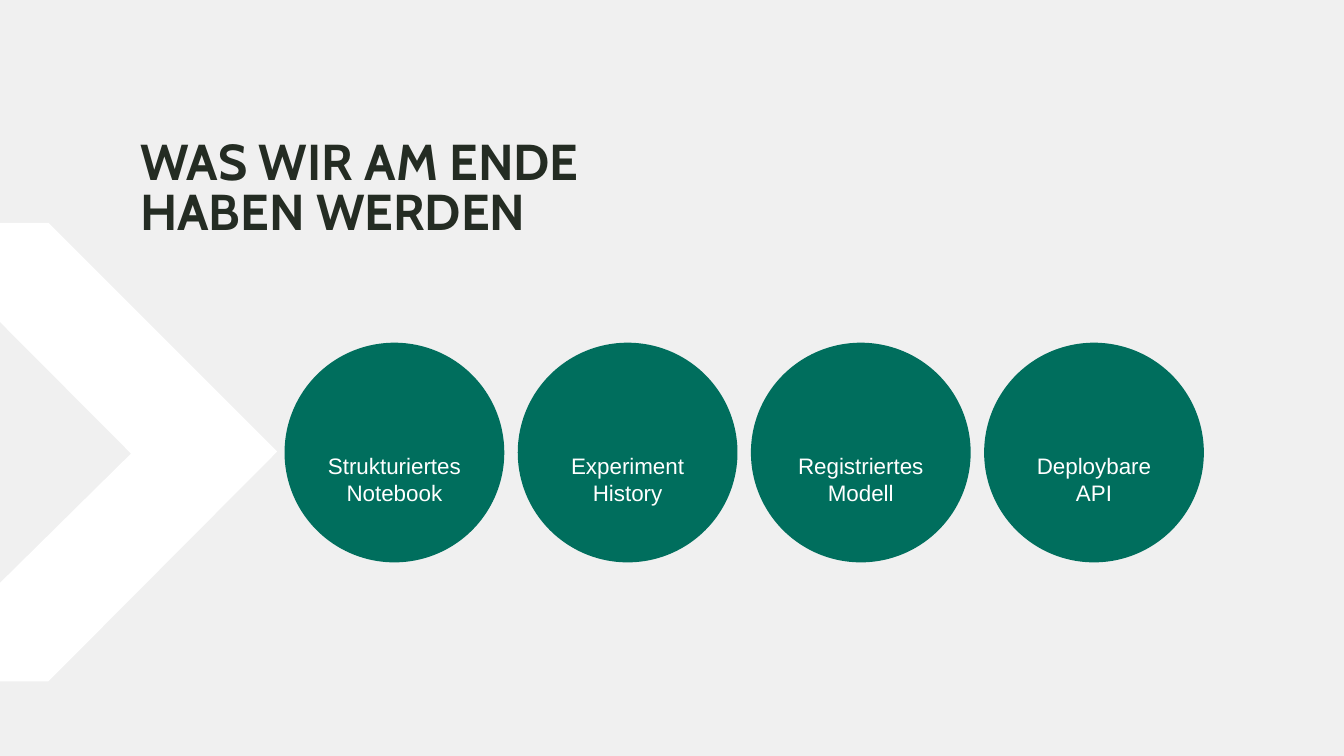
import pptx
import pptx.dml.color
import pptx.enum.shapes
import pptx.enum.text
import pptx.util

COLORS = {"ground": "F0F0F0", "chevron": "FFFFFF", "title": "242C23",
          "circle": "006E5D", "label": "FFFFFF"}
COLUMNS, ROWS = 40, 30


class Deck:
    def __init__(self):
        self.deck = pptx.Presentation()
        self.deck.slide_width = pptx.util.Inches(13.33)
        self.deck.slide_height = pptx.util.Inches(7.5)
        self.slide = self.deck.slides.add_slide(self.deck.slide_layouts[6])
        self.paint(self.slide.background.fill, "ground")

    def x(self, columns):
        return round(columns * self.deck.slide_width / COLUMNS)

    def y(self, rows):
        return round(rows * self.deck.slide_height / ROWS)

    def box(self, left, top, width, height):
        return self.x(left), self.y(top), self.x(width), self.y(height)

    def paint(self, fill, color):
        fill.solid()
        fill.fore_color.rgb = pptx.dml.color.RGBColor.from_string(COLORS[color])

    def plain(self, shape, color):
        shape.shadow.inherit = False
        shape.line.fill.background()
        self.paint(shape.fill, color)

    def put_text(self, shape, words, font, size, color, bold=False, top=0, bottom=0):
        frame = shape.text_frame
        frame.word_wrap = True
        frame.margin_left = frame.margin_right = 0
        frame.margin_top, frame.margin_bottom = self.y(top), self.y(bottom)
        frame.text = words
        paragraph = frame.paragraphs[0]
        for run in paragraph.runs:
            run.font.name = font
            run.font.size = pptx.util.Pt(size)
            run.font.bold = bold
            self.paint(run.font.fill, color)
        return paragraph

    def outline(self, corners, color):
        start, *others = [(self.x(column), self.y(row)) for column, row in corners]
        builder = self.slide.shapes.build_freeform(*start)
        builder.add_line_segments(others, close=True)
        self.plain(builder.convert_to_shape(), color)

    def title(self, words, *place):
        heading = self.slide.shapes.add_textbox(*self.box(*place))
        paragraph = self.put_text(heading, words, "Cabin", 36, "title", bold=True)
        paragraph.line_spacing = pptx.util.Pt(36)

    def circle(self, words, left, top, diameter):
        result = self.slide.shapes.add_shape(
            pptx.enum.shapes.MSO_SHAPE.OVAL,
            self.x(left), self.y(top), self.x(diameter), self.x(diameter))
        self.plain(result, "circle")
        paragraph = self.put_text(result, words, "Arial", 16, "label", top=3.64, bottom=1.56)
        result.text_frame.vertical_anchor = pptx.enum.text.MSO_ANCHOR.MIDDLE
        paragraph.alignment = pptx.enum.text.PP_ALIGN.CENTER


def main():
    deck = Deck()
    deck.outline([(-2.94, 8.84), (1.44, 8.84), (8.25, 17.92),
                  (1.44, 27.04), (-2.97, 27.04), (3.9, 18)], "chevron")
    deck.title("WAS WIR AM ENDE \vHABEN WERDEN", 4.17, 5.56, 21.84, 3.24)
    results = ["Strukturiertes Notebook", "Experiment\vHistory",
               "Registriertes Modell", "Deploybare\vAPI"]
    for index, words in enumerate(results):
        deck.circle(words, 8.47 + 6.94 * index, 13.6, 6.54)
    deck.deck.save("out.pptx")


if __name__ == "__main__":
    main()
